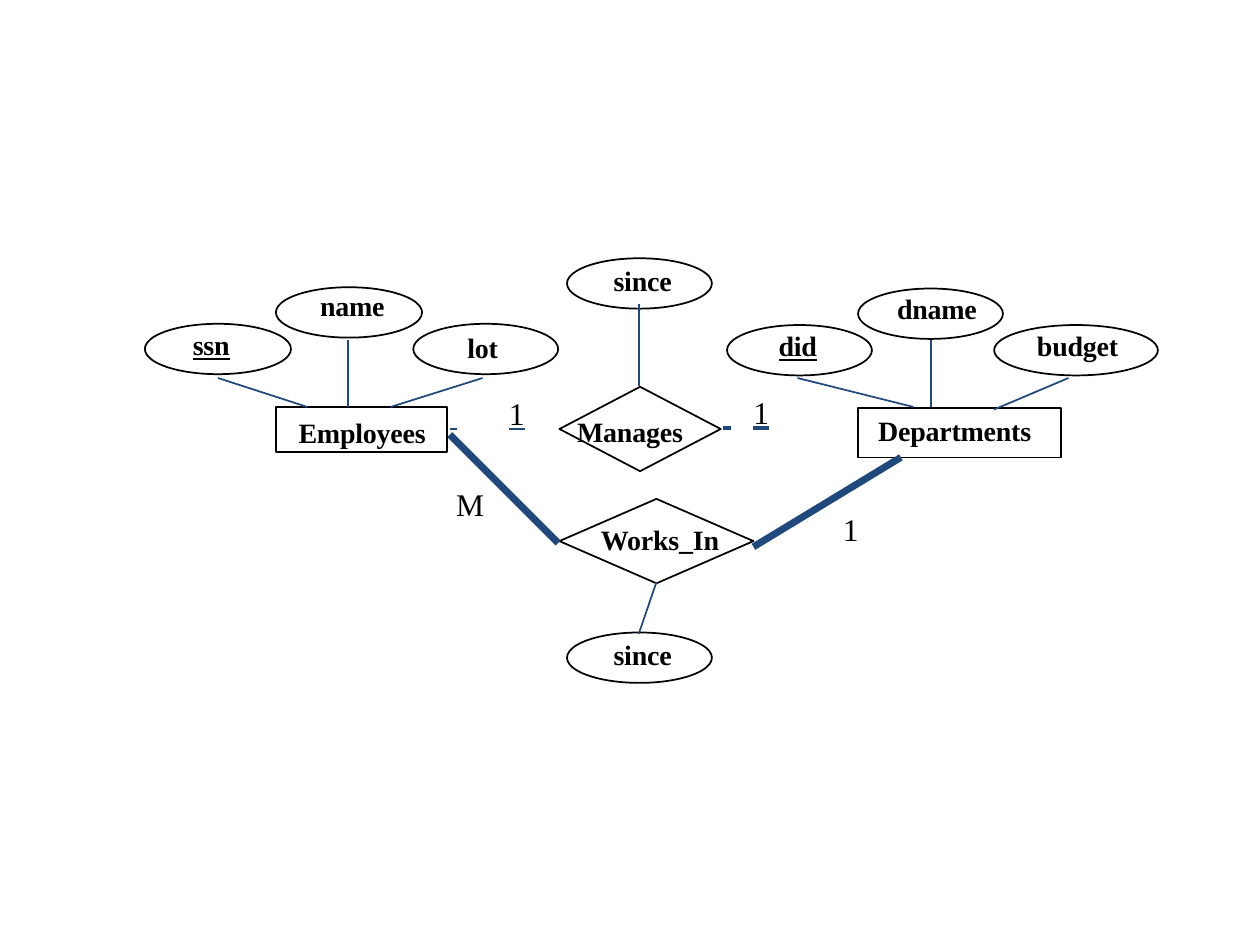
from lxml.etree import SubElement as Sub
from pptx import Presentation
from pptx.dml.color import RGBColor as Rgb
from pptx.enum.shapes import MSO_CONNECTOR as Conn, MSO_SHAPE as Kind
from pptx.enum.text import MSO_ANCHOR as Anchor, MSO_UNDERLINE as Under, PP_ALIGN as Align
from pptx.oxml.ns import qn
from pptx.util import Inches, Pt

THEME = {
    "ink": Rgb(0x00, 0x00, 0x00),
    "link": Rgb(0x1F, 0x48, 0x7C),
    "name": {"name": "Times New Roman", "size": Pt(16), "bold": True},
    "count": {"name": "Times New Roman", "size": Pt(18), "bold": False},
    "thin": Pt(1),
    "thick": Pt(4),
}

deck = Presentation()
deck.slide_width, deck.slide_height = Inches(10), Inches(7.5)
slide = deck.slides.add_slide(deck.slide_layouts[6])
shapes = slide.shapes


def write(shape, text, style, left=0.01, top=0.02, under=None):
    """Fill a shape with one left-aligned line and return its run."""
    frame = shape.text_frame
    frame.margin_right = frame.margin_bottom = 0
    frame.margin_left, frame.margin_top = Inches(left), Inches(top)
    frame.vertical_anchor = Anchor.TOP
    frame.word_wrap = False
    par = frame.paragraphs[0]
    par.alignment = Align.LEFT
    run = par.add_run()
    run.text = text
    for key, value in THEME[style].items():
        setattr(run.font, key, value)
    run.font.underline = under
    run.font.color.rgb = THEME["ink"]
    run.font._element.set("spc", "-10")
    return run


def outline(kind, *box):
    shape = shapes.add_shape(kind, *map(Inches, box))
    shape.shadow.inherit = False
    shape.fill.background()
    shape.line.color.rgb = THEME["ink"]
    shape.line.width = THEME["thin"]
    return shape


# Attributes: oval left, top, width, then text, its left and top, key or not
ovals = [
    (1.15, 2.57, 1.16, "ssn", 1.52, 2.58, True),
    (2.19, 2.28, 1.16, "name", 2.53, 2.27, None),
    (3.28, 2.57, 1.15, "lot", 3.7, 2.6, None),
    (4.5, 2.05, 1.15, "since", 4.86, 2.07, None),
    (5.77, 2.58, 1.15, "did", 6.17, 2.59, True),
    (6.81, 2.29, 1.15, "dname", 7.11, 2.29, None),
    (7.89, 2.58, 1.3, "budget", 8.22, 2.59, None),
    (4.5, 5.02, 1.15, "since", 4.86, 5.04, None),
]
for x, y, wide, text, left, top, key in ovals:
    outline(Kind.OVAL, x, y, wide, 0.4)
    label = shapes.add_textbox(Inches(left), Inches(top), Inches(0.68), Inches(0.29))
    write(label, text, "name", under=key)

# Relationships
for x, y, wide, text, left, top in [
    (4.44, 3.07, 1.28, "Manages", 4.57, 3.27),
    (4.44, 3.96, 1.54, "Works_In", 4.76, 4.13),
]:
    outline(Kind.DIAMOND, x, y, wide, 0.67)
    label = shapes.add_textbox(Inches(left), Inches(top), Inches(0.98), Inches(0.29))
    write(label, text, "name")

# Entities
for box, text, left, top in [
    ((2.19, 3.23, 1.36, 0.36), "Employees", 0.18, 0.07),
    ((6.81, 3.24, 1.61, 0.39), "Departments", 0.16, 0.04),
]:
    write(outline(Kind.RECTANGLE, *box), text, "name", left, top)

# Links
for x1, y1, x2, y2, weight in [
    (1.73, 3, 2.44, 3.23, "thin"),
    (2.76, 2.7, 2.76, 3.23, "thin"),
    (3.83, 3, 3.1, 3.23, "thin"),
    (5.07, 3.06, 5.07, 2.41, "thin"),
    (6.33, 3, 7.25, 3.23, "thin"),
    (7.39, 2.7, 7.39, 3.23, "thin"),
    (8.48, 3, 7.89, 3.25, "thin"),
    (5.21, 4.62, 5.07, 5.03, "thin"),
    (4.43, 4.31, 3.57, 3.45, "thick"),
    (5.98, 4.34, 7.15, 3.63, "thick"),
]:
    link = shapes.add_connector(Conn.STRAIGHT, *map(Inches, (x1, y1, x2, y2)))
    link.line.color.rgb = THEME["link"]
    link.line.width = THEME[weight]
    Sub(link._element.spPr, qn("a:effectLst"))

# Cardinalities
for text, x, y, wide in [("M", 3.61, 3.83, 0.25), ("1", 6.68, 4.03, 0.15)]:
    label = shapes.add_textbox(Inches(x), Inches(y), Inches(wide), Inches(0.33))
    write(label, text, "count")

for x, y, wide, stops, under in [
    (3.56, 3.11, 0.87, (0.47, 0.85), Under.SINGLE_LINE),
    (5.73, 3.1, 1.03, (0.24, 1.02), Under.HEAVY_LINE),
]:
    label = shapes.add_textbox(Inches(x), Inches(y), Inches(wide), Inches(0.33))
    run = write(label, " \t1\t", "count", under=under)
    label.text_frame.word_wrap = True
    tabs = Sub(label.text_frame.paragraphs[0]._p.get_or_add_pPr(), qn("a:tabLst"))
    for stop in stops:
        Sub(tabs, qn("a:tab"), pos=str(Inches(stop)), algn="l")
    tint = Sub(Sub(run.font._element, qn("a:uFill")), qn("a:solidFill"))
    Sub(tint, qn("a:srgbClr"), val=str(THEME["link"]))
    run.font._element.find(qn("a:latin")).addprevious(tint.getparent())

deck.save("out.pptx")
